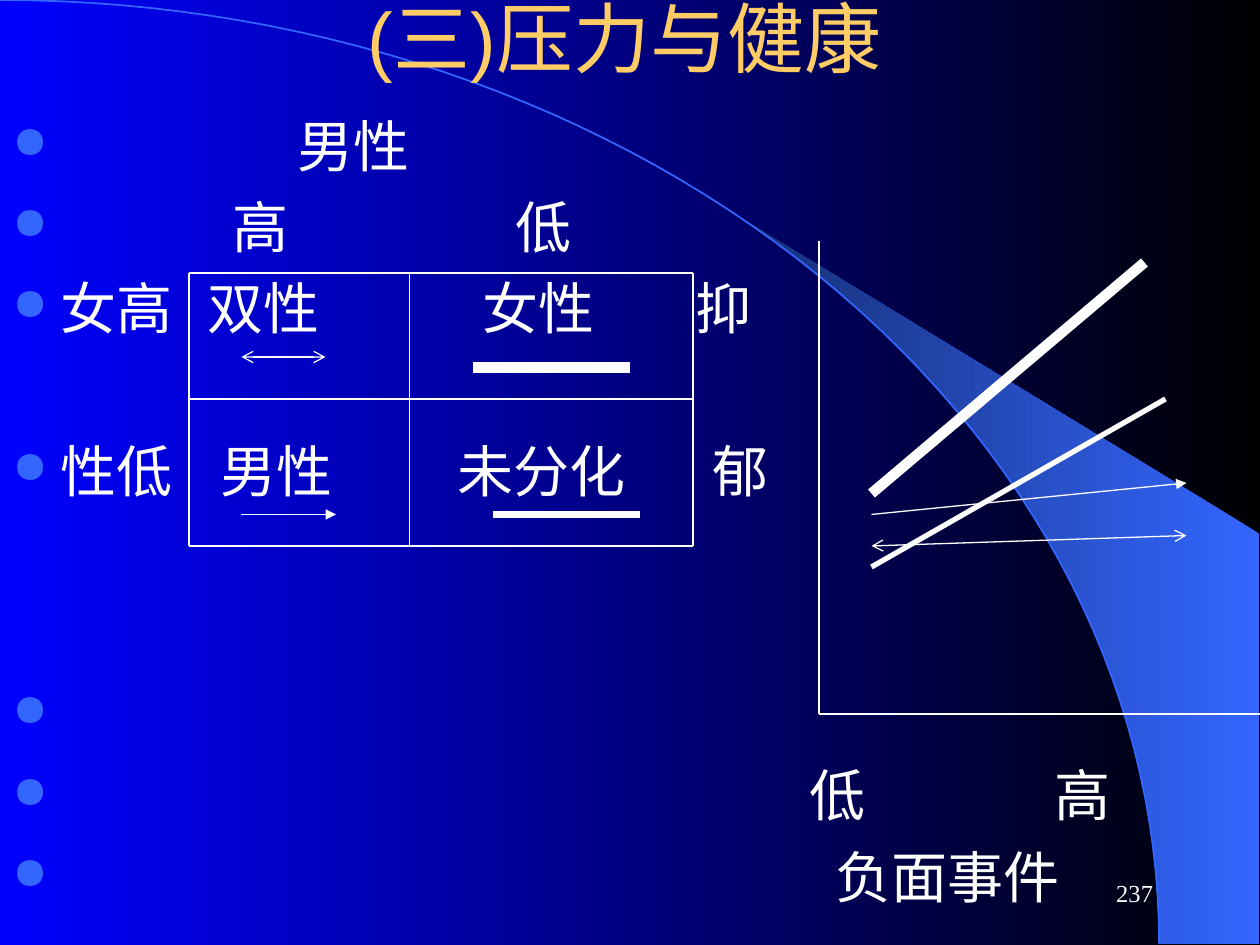
from math import asin, cos, pi, sin

from lxml.etree import SubElement
from pptx import Presentation
from pptx.dml.color import RGBColor
from pptx.enum.shapes import MSO_CONNECTOR
from pptx.enum.text import MSO_ANCHOR, PP_ALIGN
from pptx.oxml.ns import qn
from pptx.util import Inches, Pt

COLUMNS, ROWS = 120, 90
ARC_WIDTH, ARC_HEIGHT = 110.4, 89.9
LINE_PITCH = 46.4


def color(code):
    return RGBColor.from_string(code)


def add_span(para, text, size=32, font="Times New Roman", fill="FFFFFF"):
    span = para.add_run()
    span.text = text
    span.font.size = Pt(size)
    span.font.name = font
    span.font.color.rgb = color(fill)


def arc_points(start=0.0, steps=60):
    angles = [start + (pi / 2 - start) * step / steps for step in range(steps + 1)]
    return [(ARC_WIDTH * sin(angle), ARC_HEIGHT * (1 - cos(angle))) for angle in angles]


class Slide:
    """Holds the style and the current page, measured on a 120 by 90 grid."""

    white = "FFFFFF"
    blue = "3366FF"
    gold = "FFCC66"

    def __init__(self, deck):
        self.page = deck.slides.add_slide(deck.slide_layouts[6])
        self.column = deck.slide_width / COLUMNS
        self.row = deck.slide_height / ROWS

    def place(self, x, y):
        return round(x * self.column), round(y * self.row)

    def gradient(self, fill, right, left):
        fill.gradient()
        fill.gradient_angle = 180
        for stop, code in zip(fill.gradient_stops, (right, left)):
            stop.color.rgb = color(code)

    def outline(self, points, closed):
        corners = [self.place(*point) for point in points]
        builder = self.page.shapes.build_freeform(*corners[0])
        builder.add_line_segments(corners[1:], close=closed)
        shape = builder.convert_to_shape()
        shape.shadow.inherit = False
        return shape

    def crescent(self, tip):
        points = arc_points(asin(tip / ARC_WIDTH)) + [(119.9, ARC_HEIGHT), (119.9, 50.8)]
        shape = self.outline(points, True)
        self.gradient(shape.fill, self.blue, "172F75")
        shape.line.fill.background()

    def arc(self):
        shape = self.outline(arc_points(), False)
        shape.fill.background()
        shape.line.color.rgb = color(self.blue)
        shape.line.width = Pt(1)

    def line(self, start, end, width=0.75, head=None, tail=None):
        connector = self.page.shapes.add_connector(
            MSO_CONNECTOR.STRAIGHT, *self.place(*start), *self.place(*end))
        connector.line.color.rgb = color(self.white)
        connector.line.width = Pt(width)
        outline = connector.line._get_or_add_ln()
        for tag, kind in (("a:headEnd", head), ("a:tailEnd", tail)):
            if kind:
                SubElement(outline, qn(tag), type=kind)
        SubElement(connector._element.spPr, qn("a:effectLst"))

    def box(self, x, y, width, height, anchor=MSO_ANCHOR.MIDDLE):
        box = self.page.shapes.add_textbox(*self.place(x, y), *self.place(width, height))
        box.text_frame.word_wrap = True
        box.text_frame.vertical_anchor = anchor
        return box.text_frame

    def label(self, text, x, y, width, height, align, **style):
        para = self.box(x, y, width, height).paragraphs[0]
        para.alignment = align
        add_span(para, text, **style)

    def bullets(self, lines, x, y, width, height):
        frame = self.box(x, y, width, height, MSO_ANCHOR.TOP)
        for number, (skipped, text, stops) in enumerate(lines):
            para = frame.add_paragraph() if number else frame.paragraphs[0]
            self.bullet_format(para, stops)
            para.space_before = Pt(8 + skipped * LINE_PITCH if number else 0)
            add_span(para, text)

    def bullet_format(self, para, stops):
        settings = para._p.get_or_add_pPr()
        settings.set("marL", str(Inches(0.38)))
        settings.set("indent", str(-Inches(0.38)))
        tint = SubElement(settings, qn("a:buClr"))
        SubElement(tint, qn("a:srgbClr"), val=self.blue)
        SubElement(settings, qn("a:buSzPct"), val="80000")
        SubElement(settings, qn("a:buChar"), char="●")
        tabs = SubElement(settings, qn("a:tabLst"))
        for stop in stops:
            SubElement(tabs, qn("a:tab"), pos=str(Inches(stop)), algn="l")


def main():
    deck = Presentation()
    deck.slide_width, deck.slide_height = Inches(10), Inches(7.5)
    slide = Slide(deck)
    slide.gradient(slide.page.background.fill, "000000", "0000FF")
    slide.crescent(tip=70.7)
    slide.arc()

    slide.label("(三)压力与健康", 8, 0, 103, 7, PP_ALIGN.CENTER,
                size=44, font="Arial", fill=slide.gold)
    slide.bullets([
        (0, "\t男性", [2.26]),
        (0, "\t高\t低", [1.75, 3.99]),
        (0, "女高\t双性\t女性\t抑", [1.55, 3.73, 5.42]),
        (1, "性低\t男性\t未分化\t郁", [1.65, 3.53, 5.56]),
        (2, "\t", [6.33]),
        (0, "\t低\t高", [6.33, 8.27]),
        (0, "\t负面事件", [6.53]),
    ], 0, 10, 120, 80)

    for y in (26, 52, 38):
        slide.line((18, y), (66, y))
    for x in (18, 39, 66):
        slide.line((x, 26), (x, 52))
    for end in ((78, 23), (120, 68)):
        slide.line((78, 68), end)

    both_ways = {"head": "arrow", "tail": "arrow"}
    one_way = {"tail": "triangle"}
    slide.line((83, 52), (113, 51), **both_ways)
    slide.line((83, 49), (113, 46), **one_way)
    slide.line((83, 54), (111, 38), width=3)
    slide.line((83, 47), (109, 25), width=6)
    slide.line((23, 34), (31, 34), **both_ways)
    slide.line((45, 35), (60, 35), width=6)
    slide.line((23, 49), (32, 49), **one_way)
    slide.line((47, 49), (61, 49), width=4.5)

    slide.label("237", 86, 82, 25, 6, PP_ALIGN.RIGHT, size=14)
    deck.save("out.pptx")


if __name__ == "__main__":
    main()
